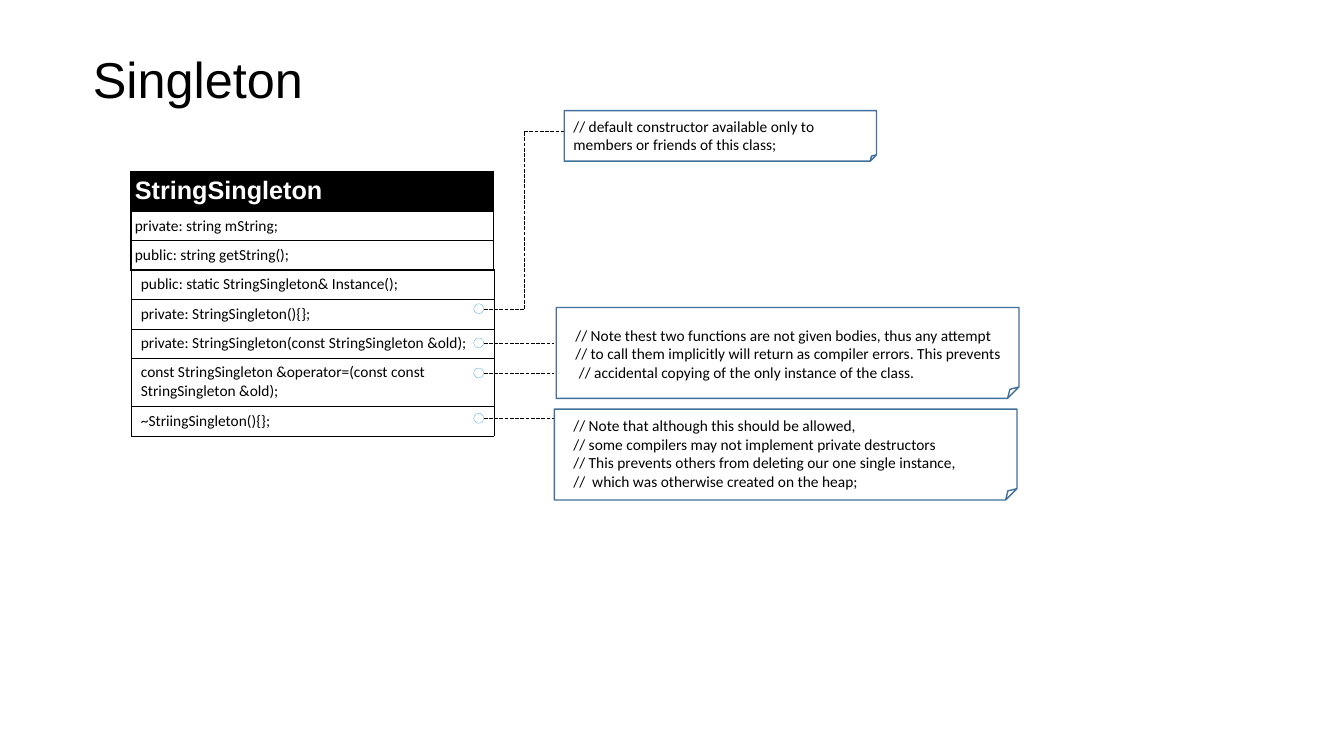
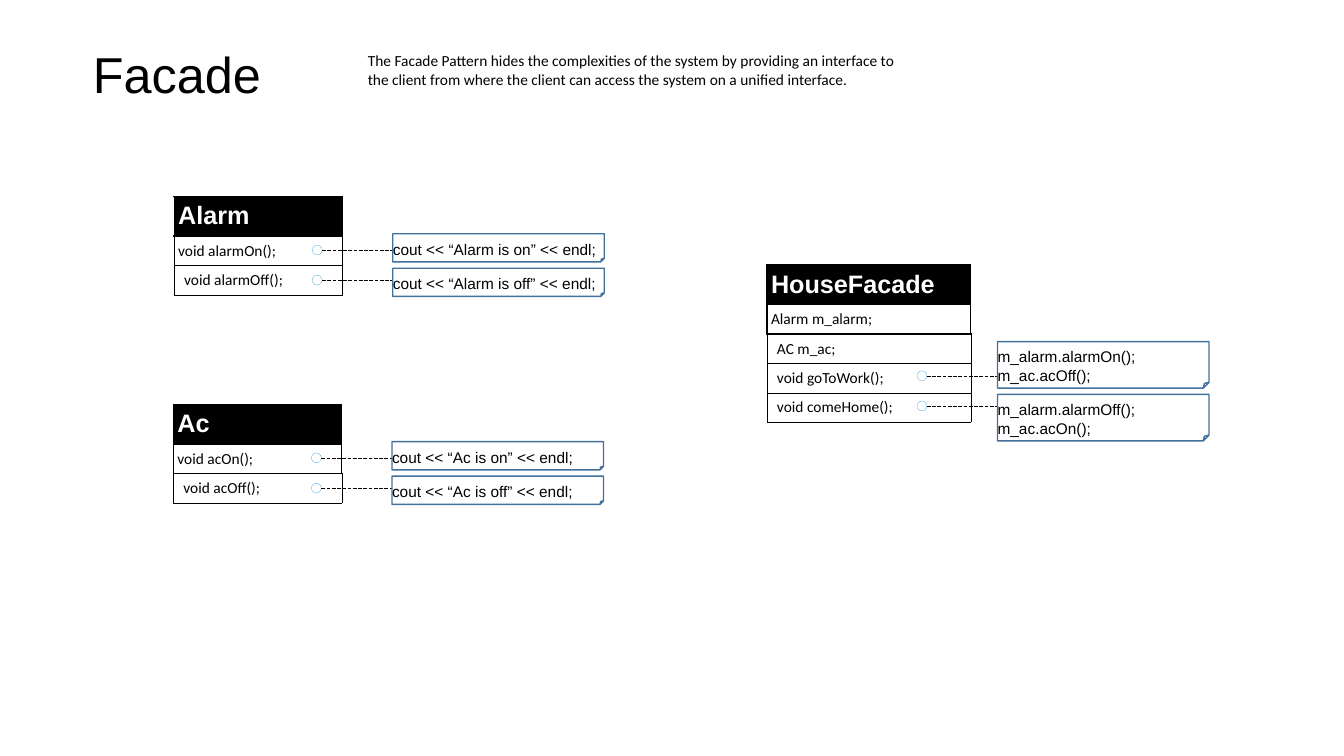
import itertools
import lxml.etree
import pptx
import pptx.dml.color
import pptx.enum.dml
import pptx.enum.shapes
import pptx.enum.text
import pptx.oxml.ns
import pptx.util

Cm = pptx.util.Cm
Pt = pptx.util.Pt
RGBColor = pptx.dml.color.RGBColor
Shape = pptx.enum.shapes.MSO_SHAPE
Anchor = pptx.enum.text.MSO_ANCHOR
qn = pptx.oxml.ns.qn

BLACK = RGBColor(0x00, 0x00, 0x00)
WHITE = RGBColor(0xFF, 0xFF, 0xFF)
STEEL = RGBColor(0x41, 0x71, 0x9C)
AZURE = RGBColor(0x00, 0x84, 0xD1)

SANS = "Arial"
BODY = "Calibri"
RING = 0.25
REACH = 2.03
THICK = 1.13
THIN = 0.06


def write(frame, text, size=11, font=BODY, color=BLACK, bold=False, lead=None):
    for count, line in enumerate(text.split("\n")):
        para = frame.paragraphs[0] if count == 0 else frame.add_paragraph()
        para.alignment = pptx.enum.text.PP_ALIGN.LEFT
        if lead:
            para.line_spacing = lead
        run = para.add_run()
        run.text = line
        run.font.size = Pt(size)
        run.font.name = font
        run.font.bold = bold
        run.font.color.rgb = color


def setup(frame, left, top, anchor=Anchor.TOP):
    frame.word_wrap = True
    frame.auto_size = pptx.enum.text.MSO_AUTO_SIZE.NONE
    frame.vertical_anchor = anchor
    frame.margin_left = Cm(left)
    frame.margin_top = Cm(top)
    frame.margin_right = frame.margin_bottom = 0


def start(deck, text, width, height):
    slide = deck.slides.add_slide(deck.slide_layouts[5])
    title = slide.shapes.title
    title.left, title.top = Cm(2.34), Cm(1.05)
    title.width, title.height = Cm(width), Cm(height)
    setup(title.text_frame, 0, 0, Anchor.MIDDLE)
    write(title.text_frame, text, size=36, font=SANS, lead=0.9)
    return slide


def outline(slide, kind, left, top, width, height, color, weight):
    shape = slide.shapes.add_shape(kind, Cm(left), Cm(top), Cm(width), Cm(height))
    shape.shadow.inherit = False
    shape.fill.background()
    shape.line.color.rgb = color
    shape.line.width = Pt(weight)
    return shape


def note(slide, left, top, width, height, text, inset=(0, 0.15), font=SANS):
    shape = outline(slide, Shape.FOLDED_CORNER, left, top, width, height, STEEL, 1)
    guides = next(shape._element.spPr.iter(qn("a:avLst")))
    lxml.etree.SubElement(guides, qn("a:gd"), name="adj", fmla="val 12500")
    setup(shape.text_frame, *inset)
    write(shape.text_frame, text, font=font)


def link(slide, left, mid, *bends):
    outline(slide, Shape.OVAL, left, mid - RING / 2, RING, RING, AZURE, 0.1)
    stops = [(left + RING, mid), *(bends or [(left + REACH, mid)])]
    for (x1, y1), (x2, y2) in itertools.pairwise(stops):
        line = slide.shapes.add_connector(
            pptx.enum.shapes.MSO_CONNECTOR.STRAIGHT, Cm(x1), Cm(y1), Cm(x2), Cm(y2))
        line.line.color.rgb = BLACK
        line.line.width = Pt(0.35)
        line.line.dash_style = pptx.enum.dml.MSO_LINE.LONG_DASH
        lxml.etree.SubElement(line._element.spPr, qn("a:effectLst"))


def border(cell, weight):
    props = cell._tc.get_or_add_tcPr()
    for side in ("lnL", "lnR", "lnT", "lnB"):
        edge = lxml.etree.SubElement(props, qn("a:" + side), w=str(int(Pt(weight))))
        fill = lxml.etree.SubElement(edge, qn("a:solidFill"))
        lxml.etree.SubElement(fill, qn("a:srgbClr"), val=str(BLACK))


def grid(slide, left, top, width, rows, thick):
    highs = [1.0] + [0.26 + 0.47 * len(row.split("\n")) for row in rows[1:]]
    table = slide.shapes.add_table(
        len(rows), 1, Cm(left), Cm(top), Cm(width), Cm(sum(highs))).table
    table.first_row = table.horz_banding = False
    table.columns[0].width = Cm(width)
    for count, (text, high) in enumerate(zip(rows, highs)):
        table.rows[count].height = Cm(high)
        cell = table.cell(count, 0)
        head, bold = count == 0, count < thick
        border(cell, THICK if bold else THIN)
        cell.fill.solid()
        cell.fill.fore_color.rgb = BLACK if head else WHITE
        cell.margin_left = cell.margin_right = Cm(0.1 if bold else 0.25)
        cell.margin_top = cell.margin_bottom = Cm(0.13)
        if head:
            write(cell.text_frame, text, size=18, font=SANS, color=WHITE, bold=True)
        else:
            write(cell.text_frame, text)


def single(slide, left, top):
    grid(slide, left, top, 9.14, [
        "StringSingleton",
        "private: string mString;",
        "public: string getString();",
        "public: static StringSingleton& Instance();",
        "private: StringSingleton(){};",
        "private: StringSingleton(const StringSingleton &old);",
        "const StringSingleton &operator=(const const\nStringSingleton &old);",
        "~StriingSingleton(){};",
    ], 3)
    pin, bend, end = left + 8.64, left + 9.91, left + 10.92
    low, high = top + 3.46, top - 1.02
    link(slide, pin, low, (bend, low), (bend, high), (end, high))
    for mid in (4.32, 5.08, 6.22):
        link(slide, pin, top + mid)
    notes = [
        (10.92, -1.53, 7.87, 1.27, (0.23, 0.15),
         "// default constructor available only to members or friends of this class;"),
        (10.72, 3.43, 11.66, 2.29, (0.48, 0.46),
         "// Note thest two functions are not given bodies, thus any attempt\n"
         "// to call them implicitly will return as compiler errors. This prevents\n"
         " // accidental copying of the only instance of the class."),
        (10.67, 5.99, 11.66, 2.29, (0.48, 0.18),
         "// Note that although this should be allowed,\n"
         "// some compilers may not implement private destructors\n"
         "// This prevents others from deleting our one single instance,\n"
         "//  which was otherwise created on the heap;"),
    ]
    for x, y, width, height, inset, text in notes:
        note(slide, left + x, top + y, width, height, text, inset, BODY)


def panel(slide, left, top, width, rows, notes, pin=3.48, mid=1.35, drop=0.94, tall=0.71):
    grid(slide, left, top, width, rows, 2)
    for count, text in enumerate(notes):
        link(slide, left + pin, top + mid + 0.76 * count)
        note(slide, left + pin + REACH, top + drop + (tall + 0.16) * count,
             5.33, tall, text)


def facade(slide):
    box = slide.shapes.add_textbox(Cm(9.02), Cm(1.17), Cm(14.1), Cm(0.94))
    setup(box.text_frame, 0.25, 0.13)
    box.text_frame.margin_right = Cm(0.25)
    write(box.text_frame,
          "The Facade Pattern hides the complexities of the system by providing an "
          "interface to the client from where the client can access the system on a "
          "unified interface.")
    for left, top, name, call in ((4.39, 4.95, "Alarm", "alarm"), (4.37, 10.19, "Ac", "ac")):
        panel(slide, left, top, 4.24,
              [name, f"void {call}On();", f"void {call}Off();"],
              [f"cout << “{name} is {state}” << endl;" for state in ("on", "off")])
    panel(slide, 19.33, 6.68, 5.13,
          ["HouseFacade", "Alarm m_alarm;", "AC m_ac;", "void goToWork();",
           "void comeHome();"],
          ["m_alarm.alarmOn();\nm_ac.acOff();", "m_alarm.alarmOff();\nm_ac.acOn();"],
          pin=3.78, mid=2.79, drop=1.93, tall=1.17)


def main():
    deck = pptx.Presentation()
    deck.slide_width, deck.slide_height = Cm(33.87), Cm(19.05)
    single(start(deck, "Singleton", 5.54, 2.03), 3.3, 4.32)
    facade(start(deck, "Facade", 4.78, 1.78))
    deck.save("out.pptx")


if __name__ == "__main__":
    main()
